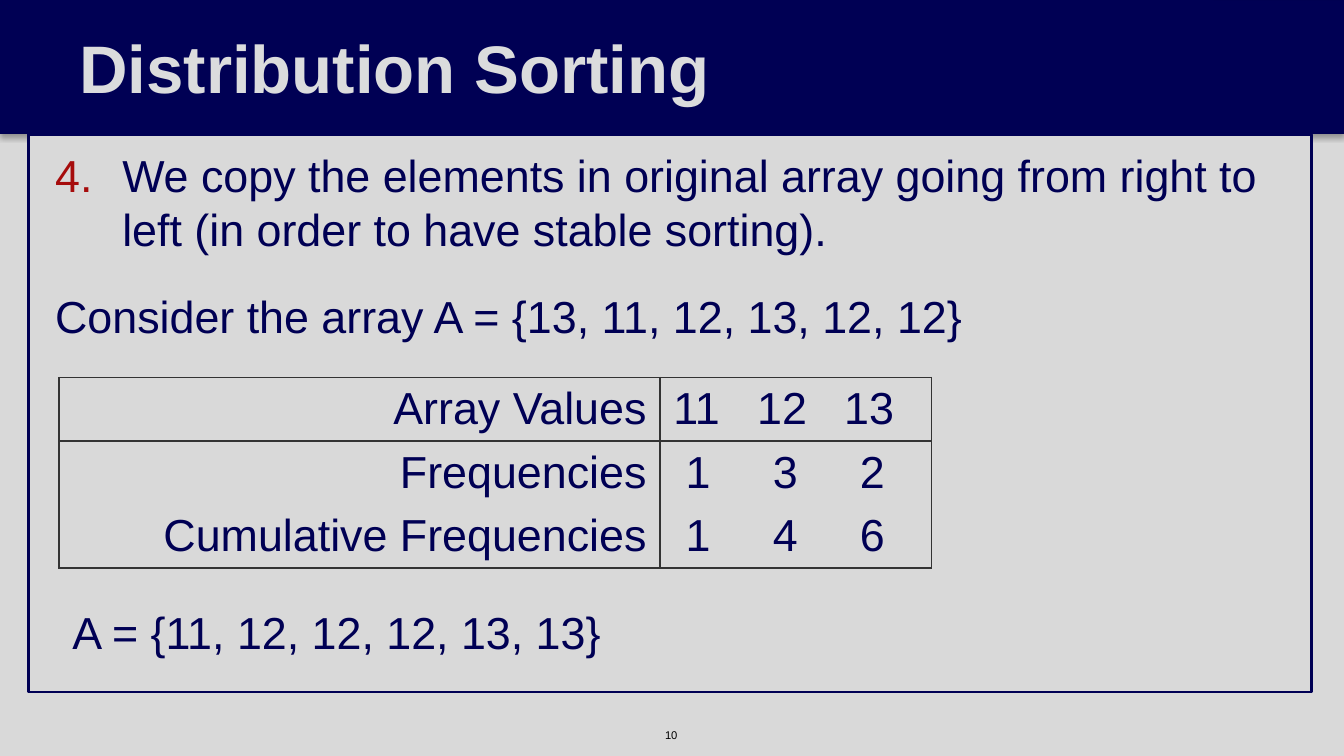
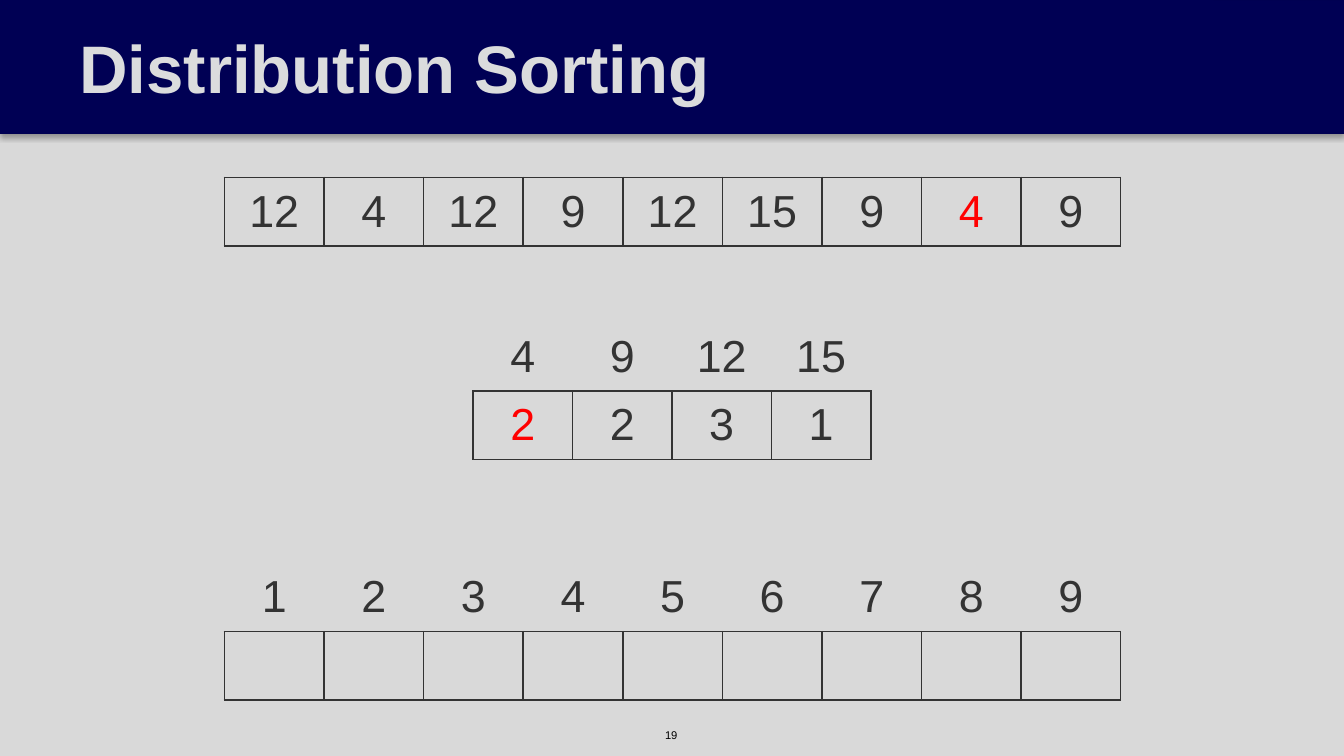
from dataclasses import dataclass

from lxml import etree
from pptx import Presentation
from pptx import util as u
from pptx.dml.color import RGBColor
from pptx.enum import shapes, text
from pptx.oxml import ns


@dataclass(frozen=True)
class Theme:
    font: str = "Arial"
    paper: str = "D9D9D9"
    navy: str = "000054"
    band_edge: str = "000052"
    title_ink: str = "DBDCDD"
    number_ink: str = "A60C0C"
    grid: str = "333333"
    marked: str = "FF0000"
    black: str = "000000"
    title_size: int = 36
    body_size: int = 24
    footer_size: int = 6


THEME = Theme()
BAND_HEIGHT = 0.99
NO_TABLE_STYLE = "{2D5ABB26-0587-4C30-8999-92F81FD0307C}"
ALL_SIDES = "LRTB"


@dataclass(frozen=True)
class Area:
    left: float
    top: float
    width: float
    height: float

    def lengths(self) -> tuple:
        return tuple(u.Inches(v) for v in (self.left, self.top, self.width, self.height))


@dataclass(frozen=True)
class ArrayGrid:
    """A row of boxed values, with an optional row of labels above it."""
    left: float
    top: float
    width: float
    values: tuple
    labels: tuple = ()
    marked: int = -1
    cell_height: float = 0.51


def add_xml(parent, tag: str, **attributes):
    return etree.SubElement(parent, ns.qn(tag), {k: str(v) for k, v in attributes.items()})


def add_color(parent, color: str):
    return add_xml(parent, "a:srgbClr", val=color)


def paint(shape, fill: str, line: str = "", width: float = 0.75) -> None:
    shape.fill.solid()
    shape.fill.fore_color.rgb = RGBColor.from_string(fill)
    if line:
        shape.line.color.rgb = RGBColor.from_string(line)
        shape.line.width = u.Pt(width)


def write(frame, words: str, *, size: int = THEME.body_size, color: str = THEME.navy,
          bold: bool = False, align=text.PP_ALIGN.LEFT, margin: float = 0,
          indent: float = 0, before: int = 0, number: int = 0) -> None:
    """Add one formatted paragraph, reusing the first one while it is empty."""
    para = frame.add_paragraph() if frame.text else frame.paragraphs[0]
    para.alignment = align
    para.space_before = u.Pt(before)
    span = para.add_run()
    span.text = words
    span.font.name = THEME.font
    span.font.size = u.Pt(size)
    span.font.bold = bold
    span.font.color.rgb = RGBColor.from_string(color)

    props = para._p.get_or_add_pPr()
    props.set("marL", str(u.Inches(margin)))
    props.set("indent", str(u.Inches(indent)))
    if number:
        add_color(add_xml(props, "a:buClr"), THEME.number_ink)
        add_xml(props, "a:buAutoNum", type="arabicPeriod", startAt=number)
    else:
        add_xml(props, "a:buNone")


def set_frame(frame, inset: float, anchor) -> None:
    frame.word_wrap = True
    frame.auto_size = text.MSO_AUTO_SIZE.NONE
    frame.vertical_anchor = anchor
    frame.margin_left = frame.margin_right = u.Inches(inset)
    frame.margin_top = frame.margin_bottom = u.Inches(0.1)


def place(shape, area: Area) -> None:
    shape.left, shape.top, shape.width, shape.height = area.lengths()


def add_label(page, area: Area, words: str, **style):
    box = page.shapes.add_textbox(*area.lengths())
    box.text_frame.word_wrap = False
    box.text_frame.auto_size = text.MSO_AUTO_SIZE.SHAPE_TO_FIT_TEXT
    write(box.text_frame, words, **style)
    return box


def add_band(page):
    band = page.shapes.add_shape(shapes.MSO_SHAPE.RECTANGLE,
                                 *Area(0, 0, 10, BAND_HEIGHT).lengths())
    paint(band, THEME.navy, THEME.band_edge)
    band.shadow.inherit = False
    effects = band._element.spPr.find(ns.qn("a:effectLst"))
    shadow = add_xml(effects, "a:outerShdw", blurRad=u.Pt(3.1), dist=u.Pt(1.8),
                     dir=90 * 60000, rotWithShape=0)
    add_xml(add_color(shadow, THEME.black), "a:alpha", val=35000)
    return band


def add_page(deck, layout: str, title: str, number: int):
    """Add a slide with the shared band, title and page number."""
    page = deck.slides.add_slide(deck.slide_layouts.get_by_name(layout))
    footer = add_label(page, Area(4.85, 5.37, 0.3, 0.2), str(number),
                       size=THEME.footer_size, color=THEME.black)
    # The band and the number lie behind the placeholders
    for shape in (add_band(page), footer):
        page.shapes._spTree.insert(2, shape._element)

    heading = page.shapes.title
    place(heading, Area(0, 0, 9.03, BAND_HEIGHT))
    paint(heading, THEME.navy)
    set_frame(heading.text_frame, 0.4, text.MSO_ANCHOR.MIDDLE)
    write(heading.text_frame, title, size=THEME.title_size, color=THEME.title_ink,
          bold=True, margin=0.19)
    return page


def add_plain_table(page, left: float, top: float, widths: list, heights: list):
    area = Area(left, top, sum(widths), sum(heights))
    table = page.shapes.add_table(len(heights), len(widths), *area.lengths()).table
    table.first_row = table.horz_banding = False
    table._tbl.tblPr.find(ns.qn("a:tableStyleId")).text = NO_TABLE_STYLE
    for column, width in zip(table.columns, widths):
        column.width = u.Inches(width)
    for row, height in zip(table.rows, heights):
        row.height = u.Inches(height)
    return table


def set_borders(cell, sides: str) -> None:
    """Draw the named sides and leave the others explicitly empty."""
    props = cell._tc.get_or_add_tcPr()
    for side in ALL_SIDES:
        line = add_xml(props, f"a:ln{side}", w=u.Pt(1))
        if side in sides:
            add_color(add_xml(line, "a:solidFill"), THEME.grid)
        else:
            add_xml(line, "a:noFill")
    cell.fill.background()


def add_array(page, grid: ArrayGrid) -> None:
    rows = [grid.labels, grid.values] if grid.labels else [grid.values]
    columns = len(grid.values)
    table = add_plain_table(page, grid.left, grid.top,
                            [grid.width / columns] * columns,
                            [grid.cell_height] * len(rows))
    for r, values in enumerate(rows):
        boxed = values is grid.values
        for c, value in enumerate(values):
            cell = table.cell(r, c)
            cell.vertical_anchor = text.MSO_ANCHOR.MIDDLE
            set_borders(cell, ALL_SIDES if boxed else "B")
            if value is not None:
                color = THEME.marked if boxed and c == grid.marked else THEME.grid
                write(cell.text_frame, str(value), color=color, align=text.PP_ALIGN.CENTER)


def add_frequencies(page) -> None:
    rows = (
        ("Array Values", "11   12   13", ALL_SIDES),
        ("Frequencies", " 1     3     2", "LRT"),
        ("Cumulative Frequencies", " 1     4     6", "LRB"),
    )
    table = add_plain_table(page, 0.44, 2.81, [4.47, 2.02], [0.41] * len(rows))
    for r, (name, counts, sides) in enumerate(rows):
        label, numbers = table.cell(r, 0), table.cell(r, 1)
        set_borders(label, sides)
        set_borders(numbers, sides)
        write(label.text_frame, name, align=text.PP_ALIGN.RIGHT)
        write(numbers.text_frame, counts)


def build_copy_step(deck) -> None:
    page = add_page(deck, "Title and Content", "Distribution Sorting", 10)
    body = page.placeholders[1]
    place(body, Area(0.21, 1, 9.55, 4.15))
    paint(body, THEME.paper, THEME.navy, 1.5)
    set_frame(body.text_frame, 0.2, text.MSO_ANCHOR.TOP)
    write(body.text_frame,
          "We copy the elements in original array going from right to "
          "left (in order to have stable sorting).",
          margin=0.5, indent=-0.5, before=18, number=4)
    write(body.text_frame, "Consider the array A = {13, 11, 12, 13, 12, 12}", before=18)
    add_frequencies(page)
    add_label(page, Area(0.44, 4.45, 4.17, 0.5), "A = {11, 12, 12, 12, 13, 13}")


def build_counting(deck) -> None:
    page = add_page(deck, "Title Only", "Distribution Sorting", 19)
    grids = (
        ArrayGrid(3.52, 2.4, 2.96, (2, 2, 3, 1), labels=(4, 9, 12, 15), marked=0),
        ArrayGrid(1.67, 1.32, 6.67, (12, 4, 12, 9, 12, 15, 9, 4, 9), marked=7),
        ArrayGrid(1.67, 4.19, 6.67, (None,) * 9, labels=tuple(range(1, 10))),
    )
    for grid in grids:
        add_array(page, grid)


def main() -> None:
    deck = Presentation()
    # Widescreen, 16 to 9
    deck.slide_width = u.Inches(10)
    deck.slide_height = deck.slide_width * 9 // 16
    paper = deck.slide_master.background.fill
    paper.solid()
    paper.fore_color.rgb = RGBColor.from_string(THEME.paper)
    build_copy_step(deck)
    build_counting(deck)
    deck.save("out.pptx")


if __name__ == "__main__":
    main()
